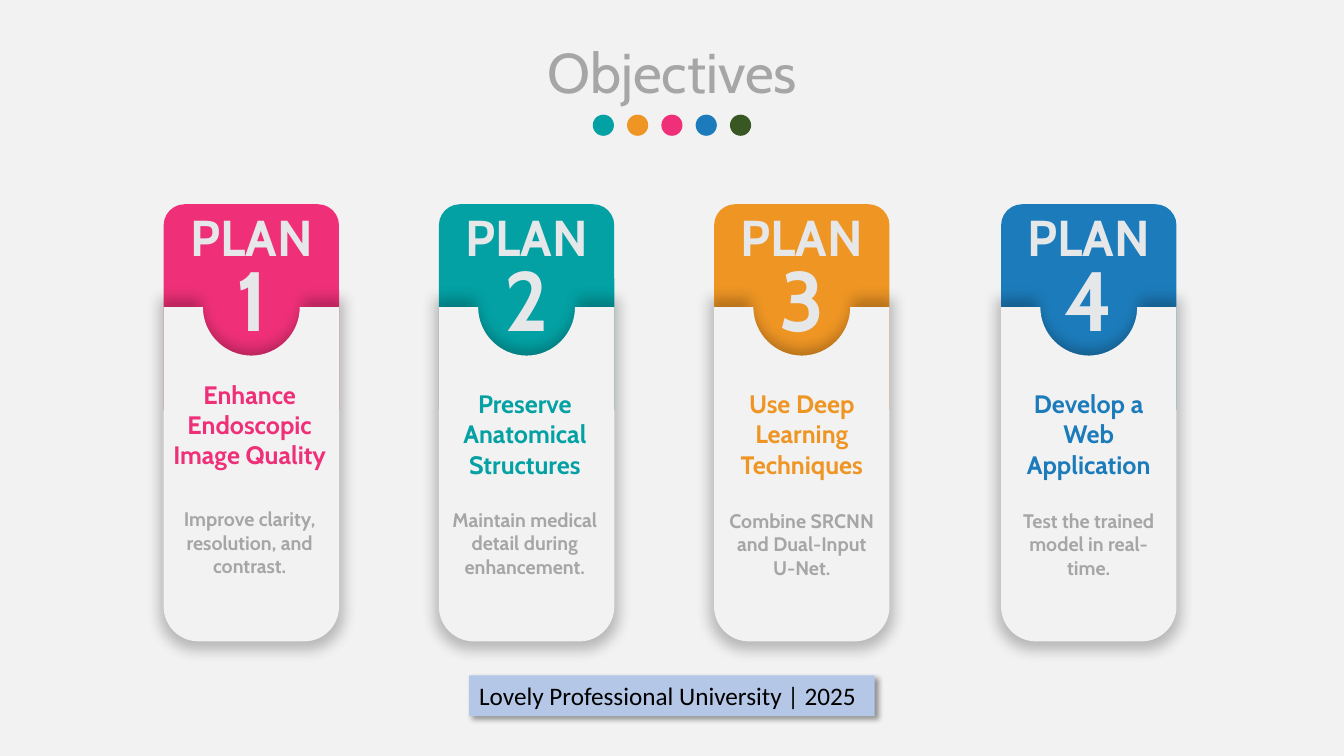
from dataclasses import dataclass

from lxml import etree
from pptx import Presentation
from pptx.dml.color import RGBColor
from pptx.enum.shapes import MSO_SHAPE
from pptx.enum.text import MSO_ANCHOR, MSO_AUTO_SIZE, PP_ALIGN
from pptx.oxml.ns import qn
from pptx.util import Pt

CENTER, LEFT = PP_ALIGN.CENTER, PP_ALIGN.LEFT
TOP, MIDDLE = MSO_ANCHOR.TOP, MSO_ANCHOR.MIDDLE
GROW = MSO_AUTO_SIZE.SHAPE_TO_FIT_TEXT
RECTANGLE, OVAL = MSO_SHAPE.RECTANGLE, MSO_SHAPE.OVAL
ROUND_TOP = MSO_SHAPE.ROUND_2_SAME_RECTANGLE

COLORS = {
    "page": "F2F2F2",
    "pink": "EF3078",
    "teal": "03A1A4",
    "orange": "EE9524",
    "blue": "1C7CBB",
    "green": "385723",
    "light": "E6E7E9",
    "gray": "A6A6A6",
    "footer": "B4C7E7",
    "black": "000000",
}
DOT_COLORS = ["teal", "orange", "pink", "blue", "green"]
DOT_LEFT, DOT_TOP, DOT_SIZE, DOT_PITCH = 423.4, 81.9, 15.1, 24.5

CARD_WIDTH = 125.3
HEADER_TOP, HEADER_HEIGHT = 145.9, 146.9
BODY_TOP, BODY_HEIGHT = 219.4, 238.7
NOTCH_RADIUS, CORNER_RADIUS = 34.6, 24.8
CURVE = 0.55  # control point distance of a quarter circle, per radius


@dataclass(frozen=True)
class Plan:
    left: float
    color: str
    text_left: float
    heading: str
    heading_top: float
    detail: str
    detail_top: float


@dataclass(frozen=True)
class Style:
    size: float
    color: str
    bold: bool = True
    name: str = "Cabin"
    align: PP_ALIGN = CENTER
    anchor: MSO_ANCHOR = TOP


@dataclass(frozen=True)
class Shadow:
    """Opacity and scale in percent, lengths in points, direction in degrees."""
    opacity: int
    blur: float
    distance: float
    direction: int
    scale: int
    anchor: str


PLANS = [
    Plan(116.9, "pink", 115.7, "Enhance Endoscopic Image Quality", 267.4,
         "Improve clarity, resolution, and contrast.", 358.7),
    Plan(313.5, "teal", 312.3, "Preserve Anatomical Structures", 273.9,
         "Maintain medical detail during enhancement.", 359.2),
    Plan(510.1, "orange", 510.1, "Use Deep Learning Techniques", 273.9,
         "Combine SRCNN and Dual-Input U-Net.", 359.7),
    Plan(715.1, "blue", 715, "Develop a Web Application", 273.9,
         "Test the trained model in real-time.", 359.7),
]
CARD_SHADOW = Shadow(23, 10, 0, 0, 105, "ctr")
FOOTER_SHADOW = Shadow(40, 4, 3, 45, 100, "tl")


def rgb(color: str) -> RGBColor:
    return RGBColor.from_string(COLORS[color])


def write(box, text: str, style: Style) -> None:
    frame = box.text_frame
    layout = {"word_wrap": True, "auto_size": GROW,
              "vertical_anchor": style.anchor}
    for key, value in layout.items():
        setattr(frame, key, value)
    para = frame.paragraphs[0]
    para.alignment = style.align
    span = para.add_run()
    span.text = text
    formats = {"size": Pt(style.size), "bold": style.bold, "name": style.name}
    for key, value in formats.items():
        setattr(span.font, key, value)
    span.font.color.rgb = rgb(style.color)


def add_text(parent, left: float, top: float, width: float, height: float,
             text: str, style: Style) -> None:
    box = parent.shapes.add_textbox(Pt(left), Pt(top), Pt(width), Pt(height))
    write(box, text, style)


def paint(shape, color: str, shadow: Shadow | None = None) -> None:
    shape.fill.solid()
    shape.fill.fore_color.rgb = rgb(color)
    shape.line.fill.background()
    shape.shadow.inherit = False
    if shadow:
        effects = shape._element.spPr.find(qn("a:effectLst"))
        scale = str(shadow.scale * 1000)
        outer = etree.SubElement(
            effects, qn("a:outerShdw"), blurRad=str(Pt(shadow.blur)),
            dist=str(Pt(shadow.distance)), dir=str(shadow.direction * 60000),
            sx=scale, sy=scale, algn=shadow.anchor, rotWithShape="0")
        tint = etree.SubElement(outer, qn("a:srgbClr"), val=COLORS["black"])
        etree.SubElement(tint, qn("a:alpha"), val=str(shadow.opacity * 1000))


def add_block(parent, kind: MSO_SHAPE, left: float, top: float, width: float,
              height: float, color: str, shadow: Shadow | None = None):
    shape = parent.shapes.add_shape(kind, Pt(left), Pt(top), Pt(width),
                                    Pt(height))
    paint(shape, color, shadow)
    return shape


def bend(shape, starts: list[int]) -> None:
    """Turn the three line segments from each start index into one curve."""
    lines = list(shape._element.iter(qn("a:lnTo")))
    for start in starts:
        first, *others = lines[start:start + 3]
        curve = etree.Element(qn("a:cubicBezTo"))
        first.addprevious(curve)
        for line in (first, *others):
            curve.append(line[0])
            line.getparent().remove(line)


def add_card_body(page, plan: Plan) -> None:
    left, right = plan.left, plan.left + CARD_WIDTH
    middle, bottom = plan.left + CARD_WIDTH / 2, BODY_TOP + BODY_HEIGHT
    notch, corner = NOTCH_RADIUS, CORNER_RADIUS
    pull, rest = notch * CURVE, corner * (1 - CURVE)
    notch_y, corner_y = BODY_TOP + notch, bottom - corner
    points = [
        (middle - notch, BODY_TOP),
        (middle - notch, BODY_TOP + pull), (middle - pull, notch_y),
        (middle, notch_y),
        (middle + pull, notch_y), (middle + notch, BODY_TOP + pull),
        (middle + notch, BODY_TOP),
        (right, BODY_TOP),
        (right, corner_y),
        (right, bottom - rest), (right - rest, bottom),
        (right - corner, bottom),
        (left + corner, bottom),
        (left + rest, bottom), (left, bottom - rest),
        (left, corner_y),
    ]
    outline = page.shapes.build_freeform(Pt(left), Pt(BODY_TOP))
    outline.add_line_segments([(Pt(x), Pt(y)) for x, y in points], close=True)
    body = outline.convert_to_shape()
    bend(body, [1, 4, 9, 13])
    paint(body, "page", CARD_SHADOW)


def add_header(page, number: int, plan: Plan) -> None:
    group = page.shapes.add_group_shape()
    header = add_block(group, ROUND_TOP, plan.left, HEADER_TOP, CARD_WIDTH,
                       HEADER_HEIGHT, plan.color)
    header.adjustments[0] = 0.12
    header.adjustments[1] = 0
    add_text(group, plan.left - 8.1, 144, 141.8, 51, "PLAN", Style(36, "light"))
    add_text(group, plan.left + 27.6, 173.6, 70.6, 80, str(number),
             Style(60, "light"))


def add_goal(page, plan: Plan) -> None:
    group = page.shapes.add_group_shape()
    add_text(group, plan.text_left, plan.heading_top, CARD_WIDTH, 72.7,
             plan.heading, Style(18, plan.color))
    add_text(group, plan.text_left, plan.detail_top, CARD_WIDTH, 58.3,
             plan.detail, Style(14, "gray"))


def add_title(page) -> None:
    title = page.shapes.title
    frame = {"left": 193.7, "top": 23, "width": 573, "height": 55.4}
    for key, value in frame.items():
        setattr(title, key, Pt(value))
    write(title, "Objectives", Style(40, "gray", bold=False))


def main() -> None:
    deck = Presentation()
    deck.slide_width, deck.slide_height = Pt(960), Pt(540)
    page = deck.slides.add_slide(deck.slide_layouts[5])
    page.background.fill.solid()
    page.background.fill.fore_color.rgb = rgb("page")

    add_title(page)
    for number, plan in enumerate(PLANS, start=1):
        add_header(page, number, plan)
    dots = page.shapes.add_group_shape()
    for index, color in enumerate(DOT_COLORS):
        add_block(dots, OVAL, DOT_LEFT + index * DOT_PITCH, DOT_TOP,
                  DOT_SIZE, DOT_SIZE, color)
    for plan in PLANS:
        add_card_body(page, plan)
    for plan in PLANS:
        add_goal(page, plan)
    footer = add_block(page, RECTANGLE, 335.2, 482.4, 289.6, 29.1, "footer",
                       FOOTER_SHADOW)
    write(footer, "Lovely Professional University | 2025",
          Style(18, "black", False, "Calibri", LEFT, MIDDLE))
    deck.save("out.pptx")


if __name__ == "__main__":
    main()
